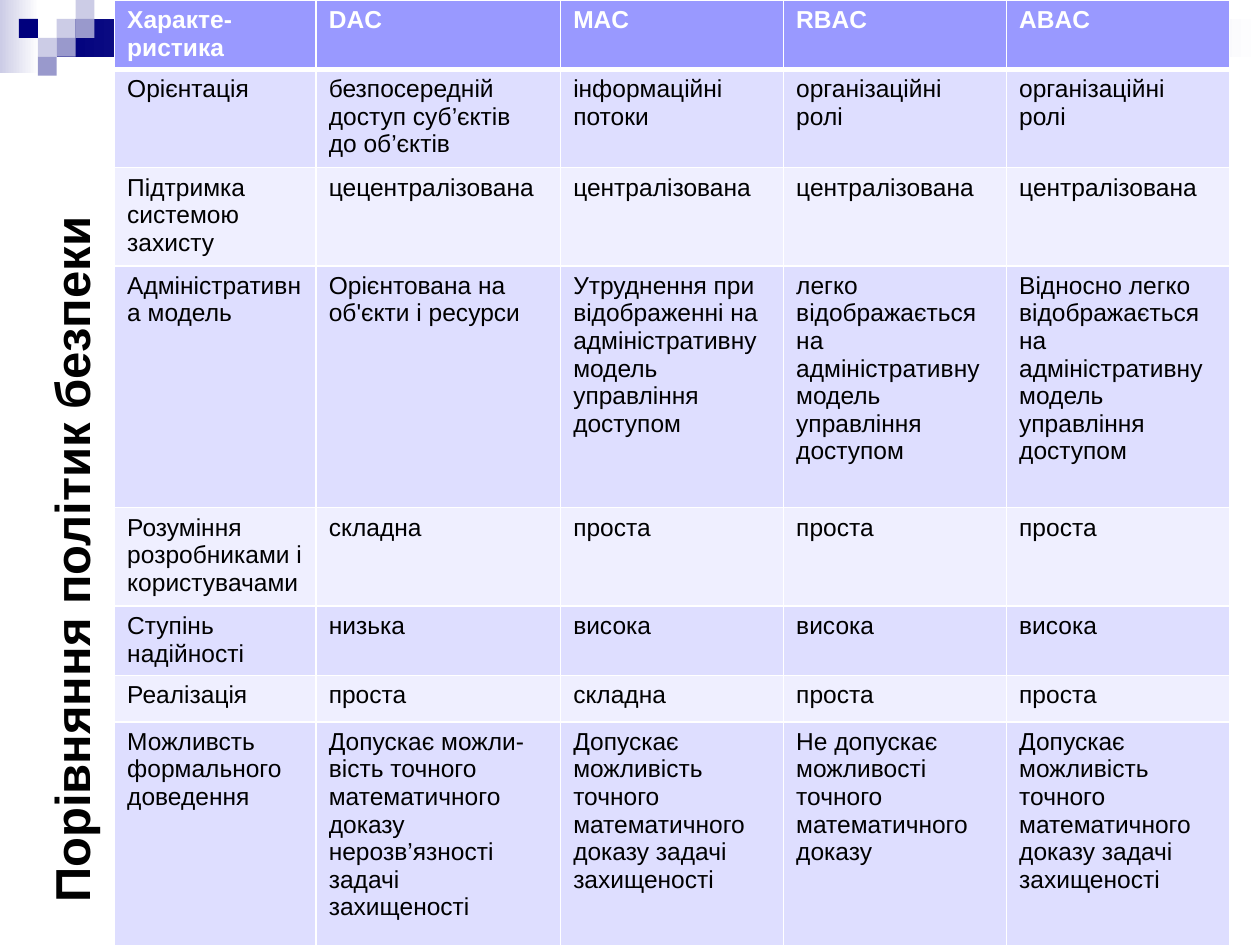
import dataclasses

import pptx
import pptx.util
import pptx.dml.color
import pptx.enum.shapes
import pptx.enum.text
import pptx.oxml

Inches = pptx.util.Inches
Pt = pptx.util.Pt
RGB = pptx.dml.color.RGBColor.from_string


@dataclasses.dataclass(frozen=True)
class Theme:
    font: str = "Arial"
    title_size: int = 28
    cell_size: int = 14
    text: str = "000000"
    white: str = "FFFFFF"
    navy: str = "00007D"
    lavender: str = "CCCCE6"
    violet: str = "9999CC"
    header: str = "9999FF"
    bands: tuple = ("DEDEFF", "EFEFFF")
    border: int = 1
    header_border: int = 3


class SlideBuilder:
    def __init__(self, prs, theme):
        self.theme = theme
        self.s = prs.slides.add_slide(prs.slide_layouts[5])

    def format_text(self, tf, size, color, bold):
        formats = {"name": self.theme.font, "size": Pt(size), "bold": bold}
        for p in tf.paragraphs:
            p.alignment = pptx.enum.text.PP_ALIGN.LEFT
            for r in p.runs:
                for name, value in formats.items():
                    setattr(r.font, name, value)
                r.font.color.rgb = RGB(color)

    def rect(self, left, top, width, height, *colors):
        sp = self.s.shapes.add_shape(
            pptx.enum.shapes.MSO_SHAPE.RECTANGLE,
            Inches(left), Inches(top), Inches(width), Inches(height))
        sp.shadow.inherit = False
        sp.line.fill.background()
        if len(colors) == 1:
            sp.fill.solid()
            sp.fill.fore_color.rgb = RGB(colors[0])
        else:
            sp.fill.gradient()
            sp.fill.gradient_angle = 0
            for stop, color in zip(sp.fill.gradient_stops, colors):
                stop.color.rgb = RGB(color)

    def title(self, text, left, top, width, height):
        sp = self.s.shapes.title
        places = {"left": Inches(left), "top": Inches(top), "width": Inches(width),
                  "height": Inches(height), "rotation": 270}
        for name, value in places.items():
            setattr(sp, name, value)
        tf = sp.text_frame
        tf.text = text
        tf.word_wrap = True
        tf.auto_size = pptx.enum.text.MSO_AUTO_SIZE.NONE
        tf.vertical_anchor = pptx.enum.text.MSO_ANCHOR.MIDDLE
        self.format_text(tf, self.theme.title_size, self.theme.text, True)
        self.s.shapes.element.append(sp.element)

    def cell_borders(self, cell, widths):
        tc_pr = cell._tc.get_or_add_tcPr()
        for index, (side, width) in enumerate(widths.items()):
            tc_pr.insert(index, pptx.oxml.parse_xml(
                f'<a:{side} xmlns:a="http://schemas.openxmlformats.org/drawingml/2006/main" '
                f'w="{Pt(width)}"><a:solidFill><a:srgbClr val="{self.theme.white}"/>'
                f'</a:solidFill></a:{side}>'))

    def table(self, rows, left, top, col_widths, row_heights):
        t = self.theme
        table = self.s.shapes.add_table(
            len(rows), len(col_widths), Inches(left), Inches(top),
            Inches(sum(col_widths)), Inches(sum(row_heights))).table
        for column, width in zip(table.columns, col_widths):
            column.width = Inches(width)
        for i, (row, height) in enumerate(zip(rows, row_heights)):
            table.rows[i].height = Inches(height)
            is_header = i == 0
            fill = t.header if is_header else t.bands[(i - 1) % 2]
            widths = {"lnL": t.border, "lnR": t.border,
                      "lnT": t.header_border if i == 1 else t.border,
                      "lnB": t.header_border if is_header else t.border}
            for j, text in enumerate(row):
                cell = table.cell(i, j)
                cell.text = text
                cell.fill.solid()
                cell.fill.fore_color.rgb = RGB(fill)
                self.cell_borders(cell, widths)
                self.format_text(cell.text_frame, t.cell_size,
                                 t.white if is_header else t.text, is_header)


PROOF = "Допускає\nможливість\nточного\nматематичного\nдоказу задачі\nзахищеності"
MODEL = "адміністративну\nмодель\nуправління\nдоступом"
ROWS = [
    ["Характе-ристика", "DAC", "MAC", "RBAC", "ABAC"],
    ["Орієнтація", "безпосередній доступ суб’єктів\nдо об’єктів",
     "інформаційні\nпотоки", "організаційні\nролі", "організаційні ролі"],
    ["Підтримка\nсистемою\nзахисту", "цецентралізована"] + ["централізована"] * 3,
    ["Адміністративна модель", "Орієнтована на\nоб'єкти і ресурси",
     "Утруднення при\nвідображенні на\n" + MODEL,
     "легко\nвідображається на\n" + MODEL,
     "Відносно легко\nвідображається\nна\n" + MODEL],
    ["Розуміння\nрозробниками і користувачами", "складна"] + ["проста"] * 3,
    ["Ступінь\nнадійності", "низька"] + ["висока"] * 3,
    ["Реалізація", "проста", "складна", "проста", "проста"],
    ["Можливсть\nформального\nдоведення",
     "Допускає можли-\nвість точного\nматематичного\nдоказу\nнерозв’язності\nзадачі\vзахищеності",
     PROOF, "Не допускає\nможливості\nточного\nматематичного\nдоказу", PROOF],
]


def main():
    prs = pptx.Presentation()
    prs.slide_width, prs.slide_height = Inches(10), Inches(7.5)
    theme = Theme()
    s = SlideBuilder(prs, theme)

    s.rect(0, 0, 0.31, 0.58, theme.lavender, theme.white)
    s.rect(0.45, 0.15, 9.55, 0.3, theme.navy, theme.white)
    step = 0.15
    squares = {
        theme.lavender: [(3, 1), (4, 0), (2, 2)],
        theme.violet: [(4, 1), (3, 2), (2, 3)],
        theme.navy: [(1, 1)],
    }
    for color, cells in squares.items():
        for col, row in cells:
            s.rect(col * step, row * step, step, step, color)

    s.title("Порівняння політик безпеки", -2.89, 3.37, 6.9, 0.89)
    s.table(ROWS, 0.91, 0, [1.6, 1.94] + [1.77] * 3,
            [0.55, 0.78, 0.78, 1.92, 0.78, 0.55, 0.37, 1.78])
    prs.save("out.pptx")


if __name__ == "__main__":
    main()
